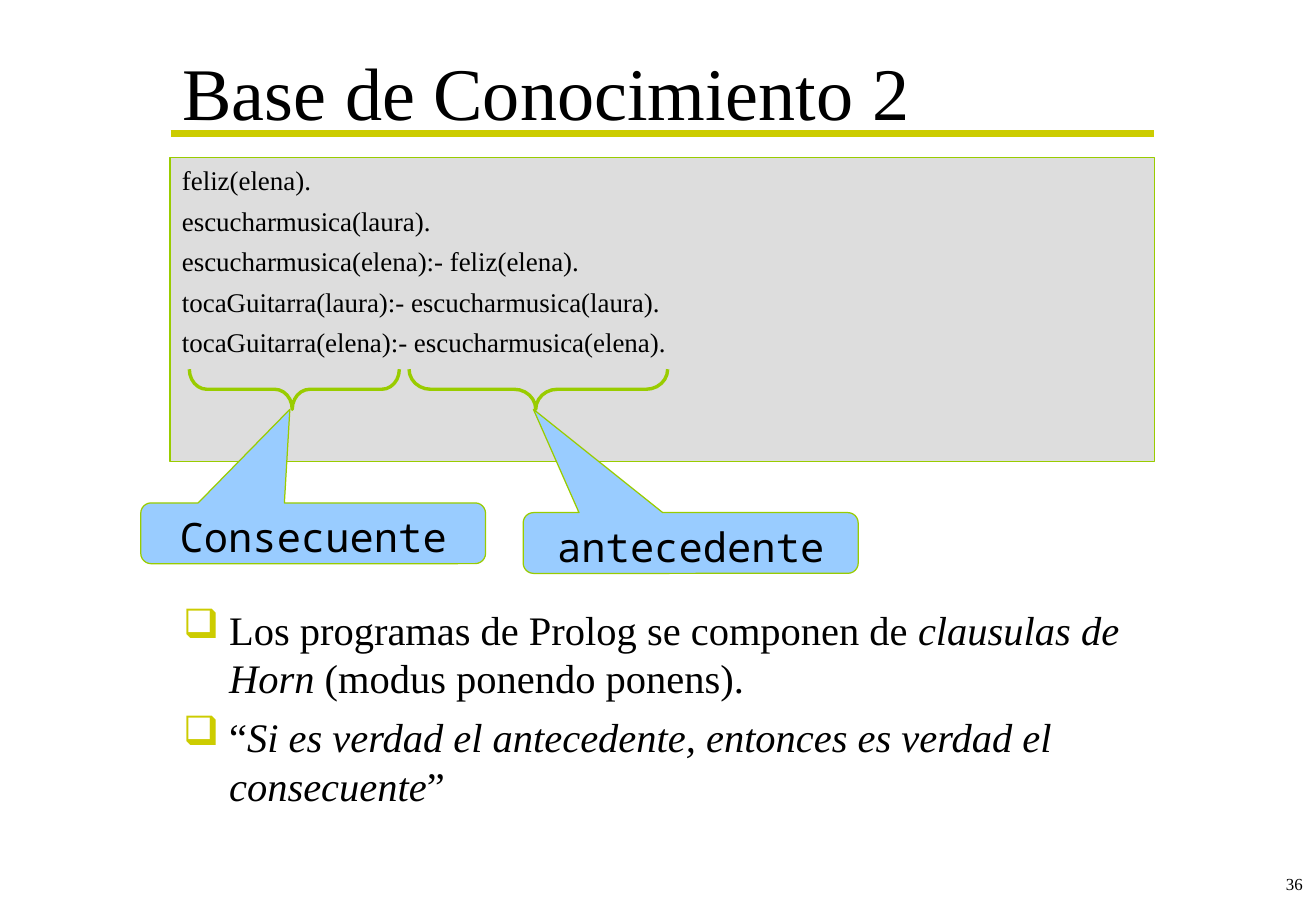
from pptx import Presentation, util as u
from pptx.dml.color import RGBColor
from pptx.enum import shapes, text
from pptx.oxml.ns import qn
from lxml import etree

deck = Presentation()
deck.slide_width, deck.slide_height = u.Inches(10.84), u.Inches(7.5)
COL, ROW = deck.slide_width / 100, deck.slide_height / 100
SERIF, MONO = "Times New Roman", "Noto Sans Mono"
INK, LIME, GOLD, GREY, SKY = "000000", "99CC00", "CCCC00", "DDDDDD", "99CCFF"
KIND = shapes.MSO_SHAPE
LEFT, MID, RIGHT = text.PP_ALIGN.LEFT, text.PP_ALIGN.CENTER, text.PP_ALIGN.RIGHT

RULES = ["feliz(elena).", "escucharmusica(laura).",
         "escucharmusica(elena):- feliz(elena).",
         "tocaGuitarra(laura):- escucharmusica(laura).",
         "tocaGuitarra(elena):- escucharmusica(elena)."]
POINTS = [
    [("Los programas de Prolog se componen de ", False),
     ("clausulas de Horn", True), (" (modus ponendo ponens).", False)],
    [("“", False),
     ("Si es verdad el antecedente, entonces es verdad el consecuente", True),
     ("”", False)],
]


def hue(code):
    return RGBColor.from_string(code)


def place(box):
    x, y, w, h = box
    return [round(v) for v in (x * COL, y * ROW, w * COL, h * ROW)]


def label(slide, box):
    return slide.shapes.add_textbox(*place(box))


def form(slide, kind, box, fill, width):
    item = slide.shapes.add_shape(kind, *place(box))
    item.shadow.inherit = False
    if fill:
        item.fill.solid()
        item.fill.fore_color.rgb = hue(fill)
    else:
        item.fill.background()
    item.line.color.rgb = hue(LIME)
    item.line.width = u.Pt(width)
    return item


def mark(para):
    props = para._p.get_or_add_pPr()
    props.set("marL", str(u.Inches(0.38)))
    props.set("indent", str(-u.Inches(0.38)))
    tint = etree.SubElement(props, qn("a:buClr"))
    etree.SubElement(tint, qn("a:srgbClr"), val=GOLD)
    etree.SubElement(props, qn("a:buChar"), char="❑")


def write(item, lines, size, font=SERIF, align=LEFT, gap=0, bullet=False,
          anchor=text.MSO_ANCHOR.TOP):
    frame = item.text_frame
    frame.word_wrap = True
    frame.vertical_anchor = anchor
    for i, line in enumerate(lines):
        para = frame.add_paragraph() if i else frame.paragraphs[0]
        if bullet:
            mark(para)
        para.alignment = align
        if i:
            para.space_before = u.Pt(gap)
        para.font.size, para.font.name = u.Pt(size), font
        para.font.color.rgb = hue(INK)
        for words, slant in [(line, False)] if isinstance(line, str) else line:
            run = para.add_run()
            run.text = words
            if slant:
                run.font.italic = True


def title(slide, box):
    x, y, w, h = box
    level = y + h * 0.88
    start, end = place((x, level, 0, 0)), place((x + w, level, 0, 0))
    rule = slide.shapes.add_connector(shapes.MSO_CONNECTOR.STRAIGHT,
                                      *start[:2], *end[:2])
    etree.SubElement(rule._element.spPr, qn("a:effectLst"))
    rule.line.color.rgb = hue(GOLD)
    rule.line.width = u.Pt(4.5)
    write(label(slide, box), ["Base de Conocimiento 2"], 44,
          anchor=text.MSO_ANCHOR.MIDDLE)


def code(slide, box):
    write(form(slide, KIND.RECTANGLE, box, GREY, 0.75), RULES, 16, gap=4.8)


def brace(slide, box, mid):
    item = form(slide, KIND.LEFT_BRACE, box, None, 2)
    x, y, w, h = item.left, item.top, item.width, item.height
    item.left, item.top = x + (w - h) // 2, y + (h - w) // 2
    item.width, item.height = h, w
    item.rotation = 270
    item.adjustments[0] = w / h / 12
    item.adjustments[1] = mid


def note(slide, box, span, name):
    x, y, w, h = box
    left, top, wide, tall = span
    mid = 0.49
    tip = left + wide * mid - 0.18, top + tall
    call = form(slide, KIND.ROUNDED_RECTANGULAR_CALLOUT, box, SKY, 0.75)
    call.adjustments[0] = (tip[0] - x) / w - 0.5
    call.adjustments[1] = (tip[1] - y) / h - 0.5
    call.adjustments[2] = 0.17
    write(call, [name], 24, MONO, MID)
    brace(slide, span, mid)


def points(slide, box):
    write(label(slide, box), POINTS, 24, gap=6, bullet=True)


def number(slide, box):
    write(label(slide, box), ["36"], 10, align=RIGHT)


def main():
    slide = deck.slides.add_slide(deck.slide_layouts[6])
    title(slide, (12.96, 3.73, 74.76, 12.4))
    code(slide, (12.92, 17.33, 74.8, 33.33))
    note(slide, (10.7, 55.2, 26.2, 6.67), (14.39, 40.53, 15.96, 4.4),
         "Consecuente")
    note(slide, (39.76, 56.27, 25.46, 6.67), (31.09, 40.53, 19.65, 4.4),
         "antecedente")
    points(slide, (13, 65.73, 74.72, 27.33))
    number(slide, (83.3, 95.2, 16.6, 4.8))
    deck.save("out.pptx")


if __name__ == "__main__":
    main()
